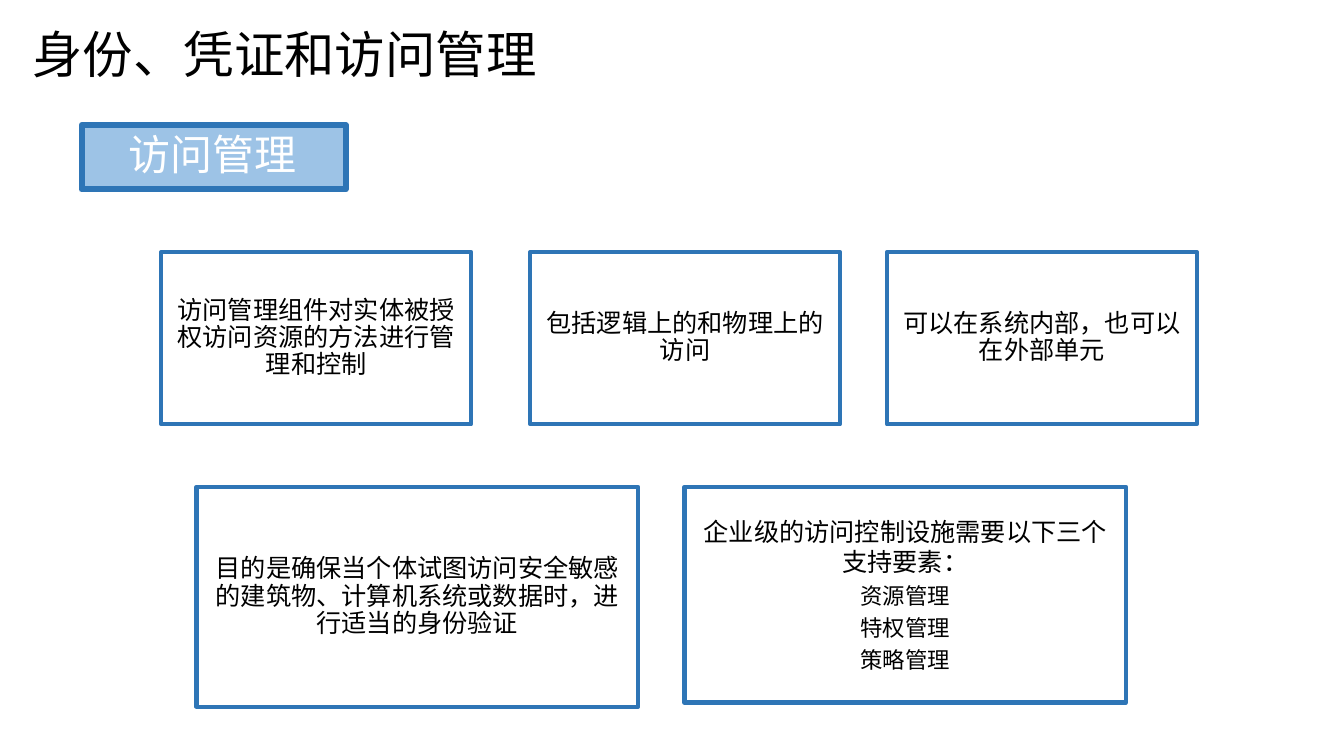
from pptx import Presentation
from pptx.dml.color import RGBColor
from pptx.enum.shapes import MSO_SHAPE
from pptx.enum.text import MSO_ANCHOR, PP_ALIGN
from pptx.oxml.ns import qn
from pptx.util import Pt
from lxml.etree import SubElement


def color(hex_string):
    """Turn a hex string into a colour."""
    return RGBColor.from_string(hex_string)


def write(paragraph, text, *, size, font, ink="000000", align=PP_ALIGN.LEFT,
          line_spacing=None, space_after=0):
    """Fill a paragraph with one formatted run."""
    paragraph.alignment = align
    paragraph.space_after = Pt(space_after)
    if line_spacing:
        paragraph.line_spacing = line_spacing
    run = paragraph.add_run()
    run.text = text
    run.font.size = Pt(size)
    run.font.color.rgb = color(ink)
    run.font.name = font
    SubElement(run.font._element, qn("a:ea")).set("typeface", font)


class AccessSlide:
    """Hold the style and the current slide."""

    font = "Noto Sans CJK SC"
    border = "2E75B6"
    tag_fill = "9DC3E6"
    spacing = 0.9
    after_ratio = 0.35

    def __init__(self, presentation):
        """Add a blank slide."""
        self.slide = presentation.slides.add_slide(presentation.slide_layouts[6])

    def frame(self, shape, horizontal, vertical):
        """Prepare a text frame with margins and middle anchor."""
        frame = shape.text_frame
        frame.word_wrap = True
        frame.vertical_anchor = MSO_ANCHOR.MIDDLE
        frame.margin_left = frame.margin_right = Pt(horizontal)
        frame.margin_top = frame.margin_bottom = Pt(vertical)
        return frame

    def rectangle(self, left, top, width, height, line_width, fill=None):
        """Add a bordered rectangle."""
        shape = self.slide.shapes.add_shape(
            MSO_SHAPE.RECTANGLE, Pt(left), Pt(top), Pt(width), Pt(height))
        shape.shadow.inherit = False
        shape.line.color.rgb = color(self.border)
        shape.line.width = Pt(line_width)
        if fill:
            shape.fill.solid()
            shape.fill.fore_color.rgb = color(fill)
        else:
            shape.fill.background()
        return shape

    def title(self, text):
        """Add the slide title."""
        shape = self.slide.shapes.add_textbox(Pt(15.3), Pt(0), Pt(535), Pt(76.3))
        frame = self.frame(shape, 7.9, 4.3)
        write(frame.paragraphs[0], text, size=36, font=self.font)

    def tag(self, text):
        """Add the filled section label."""
        shape = self.rectangle(58.3, 89.3, 188.6, 46.1, 4.33, self.tag_fill)
        frame = self.frame(shape, 33.8, 0)
        write(frame.paragraphs[0], text, size=30, font=self.font, ink="FFFFFF",
              line_spacing=self.spacing, space_after=30 * self.after_ratio)

    def card(self, left, top, width, height, text, items=()):
        """Add an outlined card with a statement and optional items."""
        frame = self.frame(self.rectangle(left, top, width, height, 3), 5, 5)
        write(frame.paragraphs[0], text, size=18, font=self.font,
              align=PP_ALIGN.CENTER, line_spacing=1.0 if items else self.spacing,
              space_after=18 * self.after_ratio)
        for item in items:
            write(frame.add_paragraph(), item, size=16, font=self.font,
                  align=PP_ALIGN.CENTER, line_spacing=self.spacing,
                  space_after=16 * self.after_ratio)


def main():
    """Build and save the presentation."""
    presentation = Presentation()
    presentation.slide_width, presentation.slide_height = Pt(960), Pt(540)
    page = AccessSlide(presentation)
    page.title("身份、凭证和访问管理")
    page.tag("访问管理")
    upper_cards = (
        (115.2, "访问管理组件对实体被授权访问资源的方法进行管理和控制"),
        (378.7, "包括逻辑上的和物理上的访问"),
        (633.6, "可以在系统内部，也可以在外部单元"),
    )
    for left, text in upper_cards:
        page.card(left, 180, 221.3, 123.1, text)
    lower_cards = (
        (140.4, 157, "目的是确保当个体试图访问安全敏感的建筑物、计算机系统或数据时，进行适当的身份验证", ()),
        (488.9, 154.1, "企业级的访问控制设施需要以下三个支持要素：",
         ("资源管理", "特权管理", "策略管理")),
    )
    for left, height, text, items in lower_cards:
        page.card(left, 347.8, 315.4, height, text, items)
    presentation.save("out.pptx")


if __name__ == "__main__":
    main()
